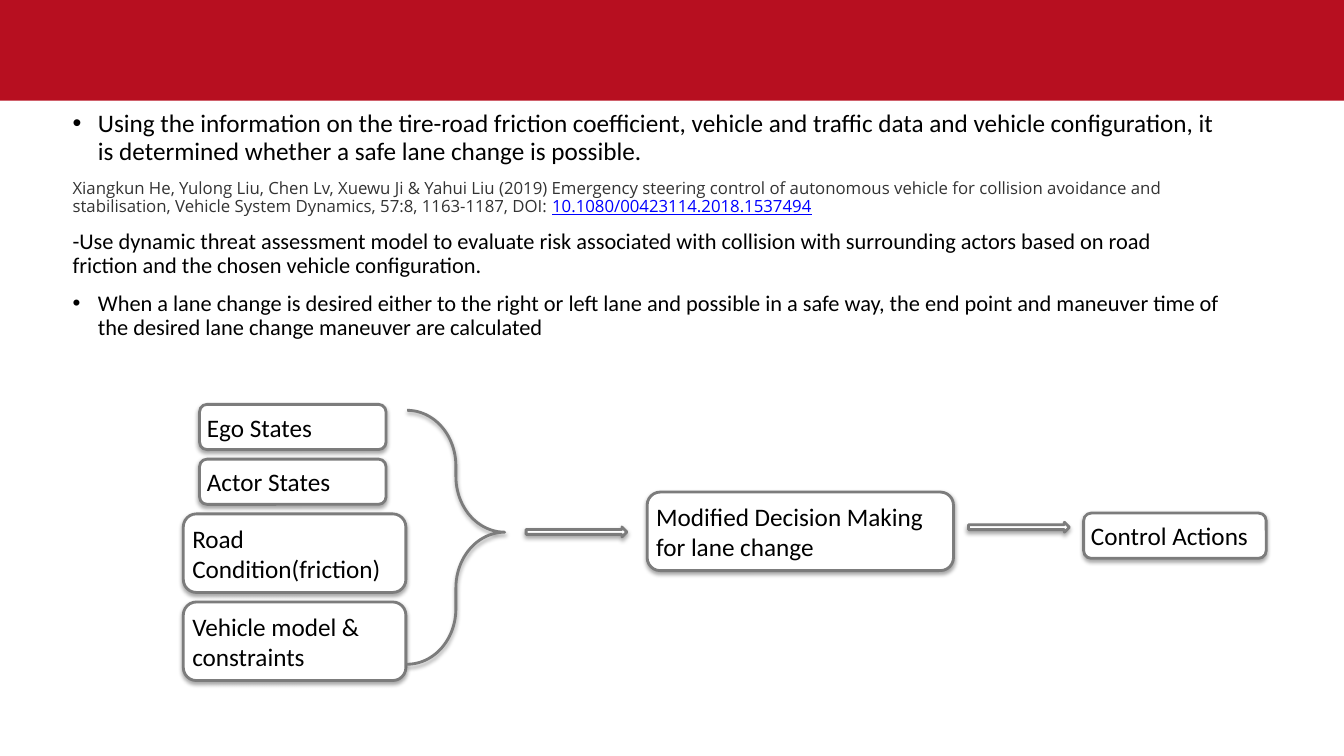
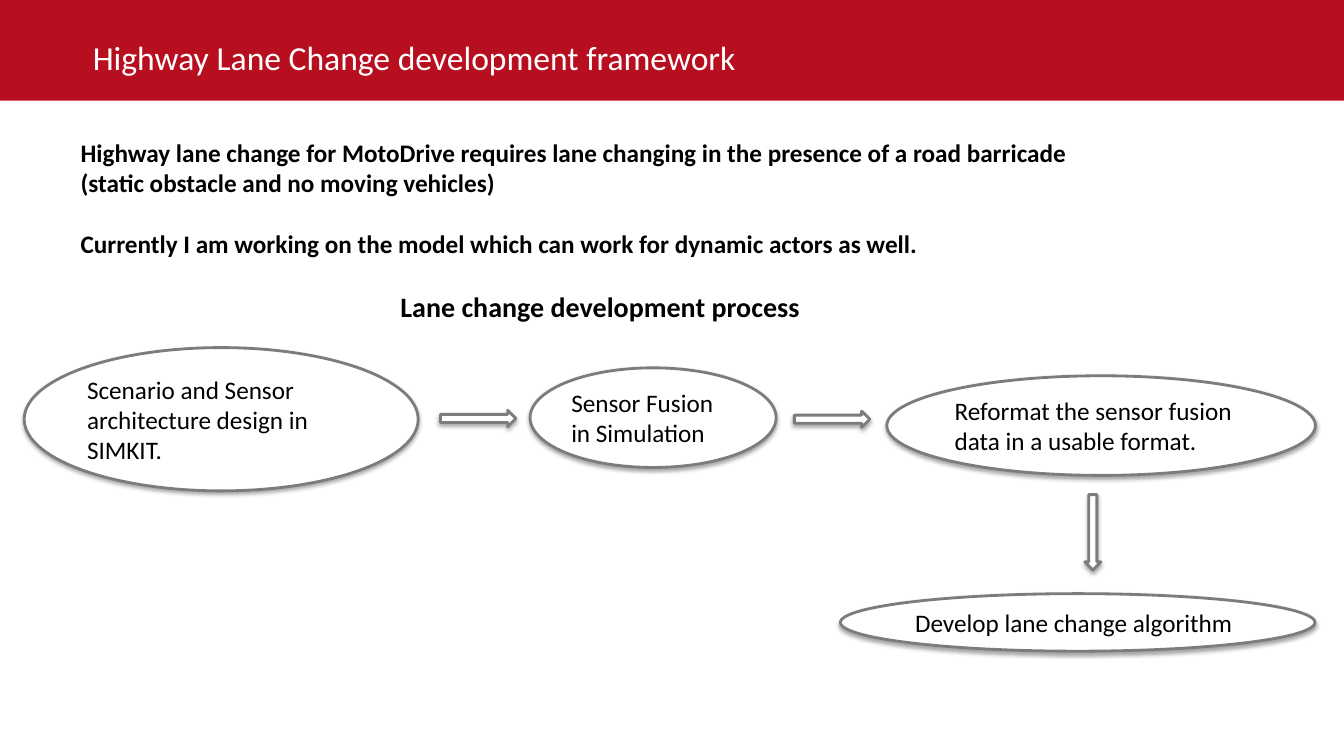
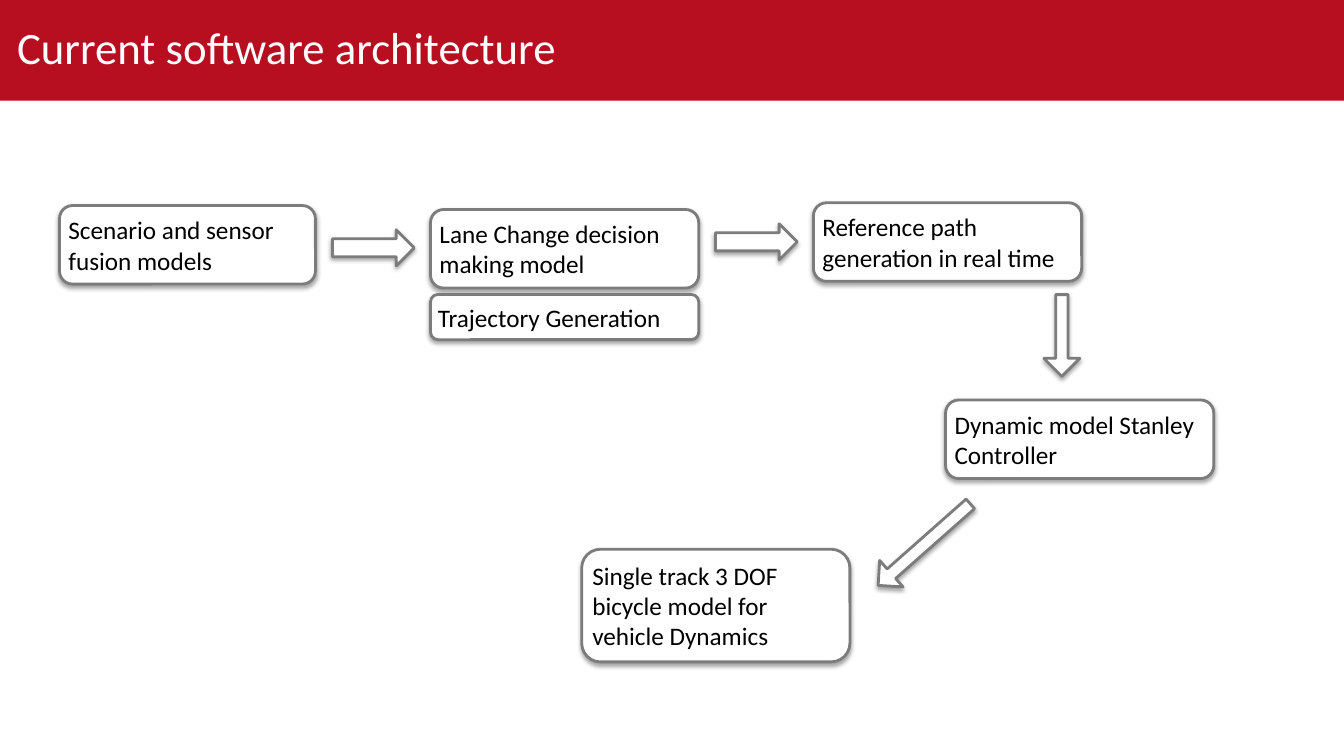
from dataclasses import dataclass

from lxml import etree
from pptx import Presentation
from pptx import util as u
from pptx.dml import color
from pptx.enum import shapes, text
from pptx.oxml import ns

Cm, Pt = u.Cm, u.Pt
Shape = shapes.MSO_SHAPE


@dataclass(frozen=True)
class Theme:
    band: str = "B70F20"
    paper: str = "FFFFFF"
    ink: str = "000000"
    outline: str = "7C7C7C"
    citation: str = "333333"
    reference: str = "0000FF"
    font: str = "Calibri"
    citation_font: str = "Open Sans"
    body: int = 18
    detail: int = 16
    small: int = 12
    heading: int = 20
    title: int = 24
    large_title: int = 32
    line: float = 2
    inset: float = 0.13


THEME = Theme()
WIDTH, HEIGHT, BAND_HEIGHT = 33.87, 19.05, 2.54
ONE_LINE, TWO_LINES = 1.14, 1.98   # heights of boxes


# Formatting helpers
def rgb(value):
    return color.RGBColor.from_string(value)


def place(left, top, width, height):
    return [Cm(value) for value in (left, top, width, height)]


def format_runs(paragraph, size, ink=THEME.ink, font=THEME.font, bold=False):
    for run in paragraph.runs:
        run.font.size = Pt(size)
        run.font.name = font
        run.font.bold = bold
        run.font.color.rgb = rgb(ink)


def set_frame(frame, anchor=text.MSO_ANCHOR.MIDDLE):
    frame.word_wrap = True
    frame.vertical_anchor = anchor
    frame.margin_left = frame.margin_right = Cm(THEME.inset)
    frame.margin_top = frame.margin_bottom = Cm(THEME.inset)


def add_shadow(shape):
    """Soft black shadow just below the shape."""
    shape.shadow.inherit = False
    effects = shape._element.spPr.find(ns.qn("a:effectLst"))
    shadow = etree.SubElement(
        effects, ns.qn("a:outerShdw"), blurRad=str(Pt(3)), dist=str(Pt(1.8)),
        dir="5400000", rotWithShape="0")
    shade = etree.SubElement(shadow, ns.qn("a:srgbClr"), val=THEME.ink)
    etree.SubElement(shade, ns.qn("a:alpha"), val="35000")


def add_bullet(paragraph):
    properties = paragraph._p.get_or_add_pPr()
    properties.set("marL", str(Cm(0.64)))
    properties.set("indent", str(-Cm(0.64)))
    etree.SubElement(properties, ns.qn("a:buFont"), typeface="Arial")
    etree.SubElement(properties, ns.qn("a:buChar"), char="•")


# Kinds of element
def add_slide(presentation):
    """Blank slide with the red band across the top."""
    slide = presentation.slides.add_slide(presentation.slide_layouts[6])
    band = slide.shapes.add_shape(
        Shape.RECTANGLE, *place(0, 0, WIDTH, BAND_HEIGHT))
    band.shadow.inherit = False
    band.fill.solid()
    band.fill.fore_color.rgb = rgb(THEME.band)
    band.line.fill.background()
    return slide


def add_text(slide, box, lines, size, anchor=text.MSO_ANCHOR.TOP, **style):
    frame = slide.shapes.add_textbox(*place(*box)).text_frame
    set_frame(frame, anchor)
    frame.text = "\n".join(lines)
    for paragraph in frame.paragraphs:
        format_runs(paragraph, size, **style)
    return frame


def add_title(slide, box, title, size):
    frame = add_text(slide, box, [title], size, text.MSO_ANCHOR.MIDDLE,
                     ink=THEME.paper)
    frame.paragraphs[0].line_spacing = 0.9


def add_outlined(slide, kind, box, adjustments=()):
    shape = slide.shapes.add_shape(kind, *place(*box))
    for index, value in enumerate(adjustments):
        shape.adjustments[index] = value
    shape.fill.solid()
    shape.fill.fore_color.rgb = rgb(THEME.paper)
    shape.line.color.rgb = rgb(THEME.outline)
    shape.line.width = Pt(THEME.line)
    add_shadow(shape)
    return shape


def add_node(slide, label, box, kind=Shape.ROUNDED_RECTANGLE):
    frame = add_outlined(slide, kind, box).text_frame
    set_frame(frame)
    frame.auto_size = text.MSO_AUTO_SIZE.SHAPE_TO_FIT_TEXT
    frame.text = label
    frame.paragraphs[0].alignment = text.PP_ALIGN.LEFT
    format_runs(frame.paragraphs[0], THEME.body)


def add_arrow(slide, box, rotation=0, adjustments=()):
    arrow = add_outlined(slide, Shape.RIGHT_ARROW, box, adjustments)
    arrow.rotation = rotation


# Slides
def build_decision_slide(presentation):
    slide = add_slide(presentation)
    frame = add_text(slide, (1.7, 2.67, 29.21, 15.04), [
        "Using the information on the tire-road friction coefficient, vehicle "
        "and traffic data and vehicle configuration, it is determined whether "
        "a safe lane change is possible.",
        "Xiangkun He, Yulong Liu, Chen Lv, Xuewu Ji & Yahui Liu (2019) "
        "Emergency steering control of autonomous vehicle for collision "
        "avoidance and stabilisation, Vehicle System Dynamics, 57:8, "
        "1163-1187, DOI: ",
        "-Use dynamic threat assessment model to evaluate risk associated with "
        "collision with surrounding actors based on road friction and the "
        "chosen vehicle configuration.",
        "When a lane change is desired either to the right or left lane and "
        "possible in a safe way, the end point and maneuver time of the "
        "desired lane change maneuver are calculated",
    ], THEME.detail)
    for paragraph in frame.paragraphs:
        paragraph.line_spacing = 0.9
        paragraph.space_before = Pt(10)
    opening, citation, _, closing = frame.paragraphs
    format_runs(opening, THEME.body)
    add_bullet(opening)
    add_bullet(closing)

    # Citation with its underlined identifier
    identifier = citation.add_run()
    identifier.text = "10.1080/00423114.2018.1537494"
    format_runs(citation, THEME.small, THEME.citation, THEME.citation_font)
    identifier.font.color.rgb = rgb(THEME.reference)
    identifier.font.underline = True

    # Stack of inputs, gathered by a brace
    top, gap = 10.19, 0.24
    for label, left, width, height in [
        ("Ego States", 5.03, 4.7, ONE_LINE),
        ("Actor States", 5.03, 4.7, ONE_LINE),
        ("Road Condition(friction)", 4.62, 5.61, TWO_LINES),
        ("Vehicle model & constraints", 4.62, 5.61, TWO_LINES),
    ]:
        add_node(slide, label, (left, top, width, height))
        top += height + gap
    brace = add_outlined(slide, Shape.RIGHT_BRACE, (10.26, 10.34, 2.46, 6.4),
                         (0.57, 0.48))
    brace.fill.background()

    # Decision and outcome
    add_node(slide, "Modified Decision Making for lane change",
             (16.31, 12.4, 7.72, TWO_LINES))
    add_node(slide, "Control Actions", (27.31, 12.93, 4.6, ONE_LINE))
    for left, top in [(13.26, 13.28), (24.41, 13.16)]:
        add_arrow(slide, (left, top, 2.54, 0.25))


def build_framework_slide(presentation):
    slide = add_slide(presentation)
    add_title(slide, (2.21, 0.71, 19.41, 1.57),
              "Highway Lane Change development framework", THEME.title)
    frame = add_text(slide, (1.9, 3.33, 25.22, 3.33), [
        "Highway lane change for MotoDrive requires lane changing in the "
        "presence of a road barricade",
        "(static obstacle and no moving vehicles)",
        "Currently I am working on the model which can work for dynamic "
        "actors as well.",
    ], THEME.body, bold=True)
    frame.paragraphs[2].space_before = Pt(22)
    add_text(slide, (9.96, 7.16, 13, 1.12),
             ["Lane change development process"], THEME.heading, bold=True)

    # Process steps
    for label, box in [
        ("Scenario and Sensor architecture design in SIMKIT.",
         (0.61, 8.76, 9.93, 3.61)),
        ("Sensor Fusion in Simulation", (13.36, 9.27, 6.2, 2.51)),
        ("Reformat the sensor fusion data in a usable format.",
         (22.35, 9.47, 10.8, 2.51)),
        ("Develop lane change algorithm", (21.18, 14.96, 11.96, 1.45)),
    ]:
        add_node(slide, label, box, Shape.OVAL)
    for left, top, rotation in [
        (11.1, 10.34, 0), (20.02, 10.36, 0), (26.59, 13.21, 90),
    ]:
        add_arrow(slide, (left, top, 1.9, 0.41), rotation)


def build_architecture_slide(presentation):
    slide = add_slide(presentation)
    add_title(slide, (0.3, 0.25, 23.75, 2.03),
              "Current software architecture", THEME.large_title)

    # Software modules
    module_width = 6.76
    add_node(slide, "Scenario and sensor fusion models",
             (1.5, 5.18, 6.45, TWO_LINES))
    for label, left, top, height in [
        ("Lane Change decision making model", 10.85, 5.28, TWO_LINES),
        ("Trajectory Generation", 10.85, 7.42, ONE_LINE),
        ("Reference path generation in real time", 20.5, 5.11, TWO_LINES),
        ("Dynamic model Stanley Controller", 23.83, 10.08, TWO_LINES),
        ("Single track 3 DOF bicycle model for vehicle Dynamics",
         14.66, 13.84, 2.84),
    ]:
        add_node(slide, label, (left, top, module_width, height))

    # Flow between modules
    for left, top in [(8.38, 5.79), (18.03, 5.64)]:
        add_arrow(slide, (left, top, 2.06, 0.91))
    add_arrow(slide, (25.73, 8, 2.06, 0.91), 90, (0.34, 0.5))
    add_arrow(slide, (21.74, 13.28, 3.1, 0.89), 138.5, (0.36, 0.5))


def main():
    presentation = Presentation()
    presentation.slide_width = Cm(WIDTH)
    presentation.slide_height = Cm(HEIGHT)
    build_decision_slide(presentation)
    build_framework_slide(presentation)
    build_architecture_slide(presentation)
    presentation.save("out.pptx")


if __name__ == "__main__":
    main()
